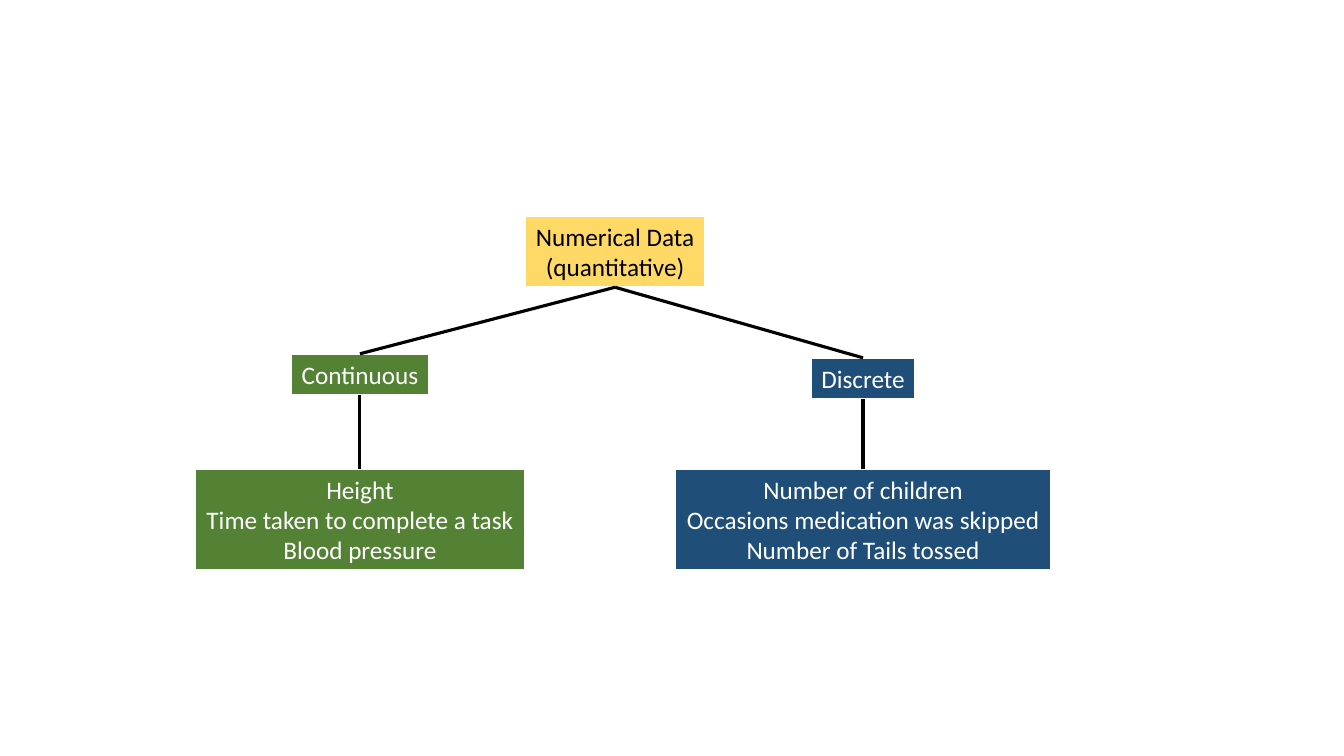
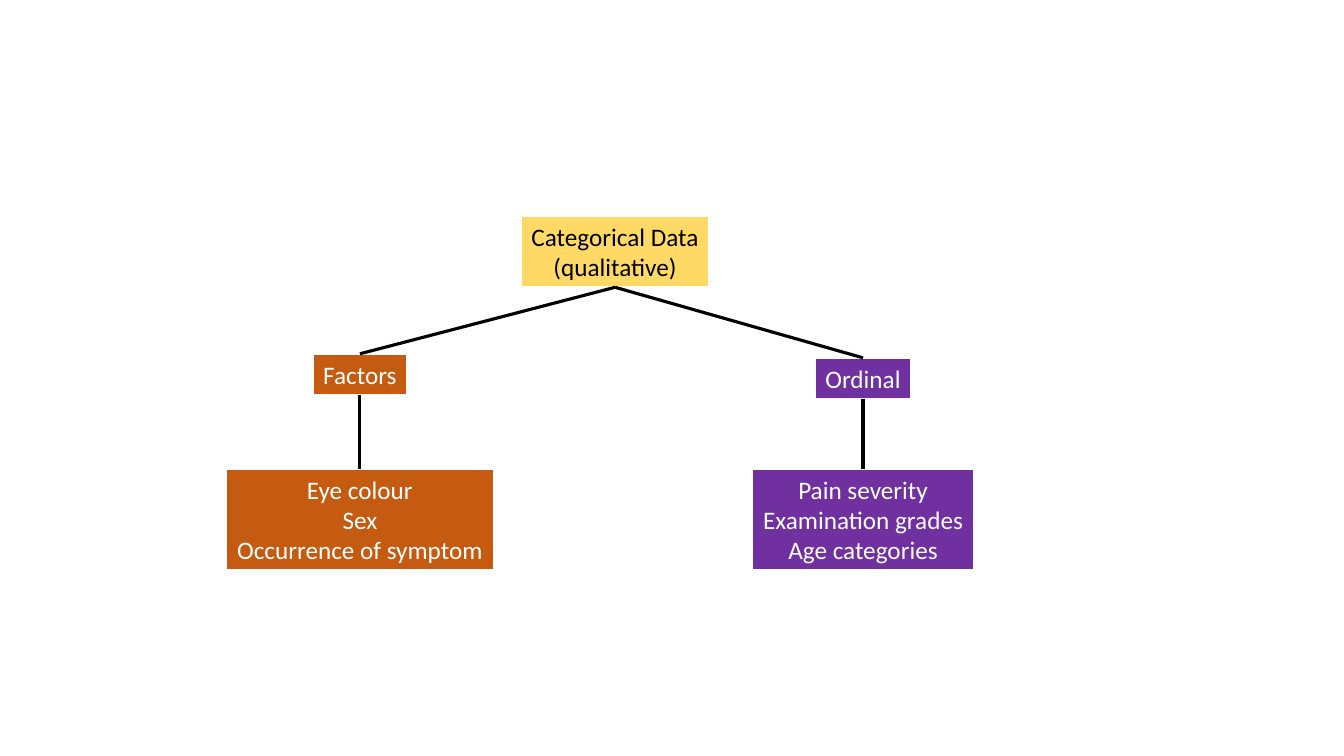
from pptx import Presentation
from pptx import util as u
from pptx.dml.color import RGBColor
from pptx.enum import shapes, text
from pptx.oxml.ns import qn
from lxml import etree

BLACK = RGBColor(0x00, 0x00, 0x00)
WHITE = RGBColor(0xFF, 0xFF, 0xFF)
YELLOW = RGBColor(0xFF, 0xD9, 0x66)
GREEN = RGBColor(0x54, 0x82, 0x35)
BLUE = RGBColor(0x1F, 0x4E, 0x79)
ORANGE = RGBColor(0xC5, 0x5A, 0x11)
PURPLE = RGBColor(0x70, 0x30, 0xA0)

# Each box is (lines of text, width in inches); a branch is (colour, kind, examples).
TREES = [
    {"root": (["Numerical Data", "(quantitative)"], 1.79),
     "branches": [
         (GREEN, (["Continuous"], 1.37),
          (["Height", "Time taken to complete a task", "Blood pressure"], 3.28)),
         (BLUE, (["Discrete"], 1.04),
          (["Number of children", "Occasions medication was skipped",
            "Number of Tails tossed"], 3.74))]},
    {"root": (["Categorical Data", "(qualitative)"], 1.88),
     "branches": [
         (ORANGE, (["Factors"], 0.94),
          (["Eye colour", "Sex", "Occurrence of symptom"], 2.66)),
         (PURPLE, (["Ordinal"], 0.96),
          (["Pain severity", "Examination grades", "Age categories"], 2.21))]},
]

SLIDE_W, SLIDE_H = 13.33, 7.5
ROOT_CENTRE, ROOT_TOP = 6.1, 2.14
BRANCH_PLACES = [(3.57, 3.51), (8.56, 3.55)]  # centre, top of each kind
EXAMPLES_TOP = 4.65
LINE_HEIGHT, PADDING = 0.3, 0.11
TOP_SITE, BOTTOM_SITE = 0, 2  # connection sites of a rectangle


def add_box(slide, content, centre, top, fill, ink):
    """Add a text box shape centred on a column and return it."""
    lines, width = content
    height = PADDING + LINE_HEIGHT * len(lines)
    box = slide.shapes.add_shape(
        shapes.MSO_SHAPE.RECTANGLE, u.Inches(centre - width / 2), u.Inches(top),
        u.Inches(width), u.Inches(height))
    box.shadow.inherit = False
    box.fill.solid()
    box.fill.fore_color.rgb = fill
    box.line.color.rgb = WHITE
    box.line.width = u.Pt(2)
    frame = box.text_frame
    frame.text = "\n".join(lines)
    frame.word_wrap = False
    frame.auto_size = text.MSO_AUTO_SIZE.SHAPE_TO_FIT_TEXT
    for paragraph in frame.paragraphs:
        paragraph.alignment = text.PP_ALIGN.CENTER
        paragraph.font.name = "Calibri"
        paragraph.font.size = u.Pt(18)
        paragraph.font.color.rgb = ink
    return box


def join(slide, child, parent):
    """Draw a line from the top of a child to the bottom of its parent."""
    link = slide.shapes.add_connector(shapes.MSO_CONNECTOR.STRAIGHT, 0, 0, 0, 0)
    link.begin_connect(child, TOP_SITE)
    link.end_connect(parent, BOTTOM_SITE)
    link.line.color.rgb = BLACK
    link.line.width = u.Pt(2.25)
    etree.SubElement(link._element.spPr, qn("a:effectLst"))


def add_tree(slide, tree):
    """Lay out one data type with its kinds and their examples."""
    root = add_box(slide, tree["root"], ROOT_CENTRE, ROOT_TOP, YELLOW, BLACK)
    kind_links, example_links = [], []
    for (colour, kind, examples), (centre, top) in zip(tree["branches"], BRANCH_PLACES):
        kind_box = add_box(slide, kind, centre, top, colour, WHITE)
        examples_box = add_box(slide, examples, centre, EXAMPLES_TOP, colour, WHITE)
        kind_links.append((kind_box, root))
        example_links.append((examples_box, kind_box))
    for child, parent in kind_links + example_links:
        join(slide, child, parent)


deck = Presentation()
deck.slide_width, deck.slide_height = u.Inches(SLIDE_W), u.Inches(SLIDE_H)
blank_layout = deck.slide_layouts[6]
for data_tree in TREES:
    add_tree(deck.slides.add_slide(blank_layout), data_tree)
deck.save("out.pptx")
